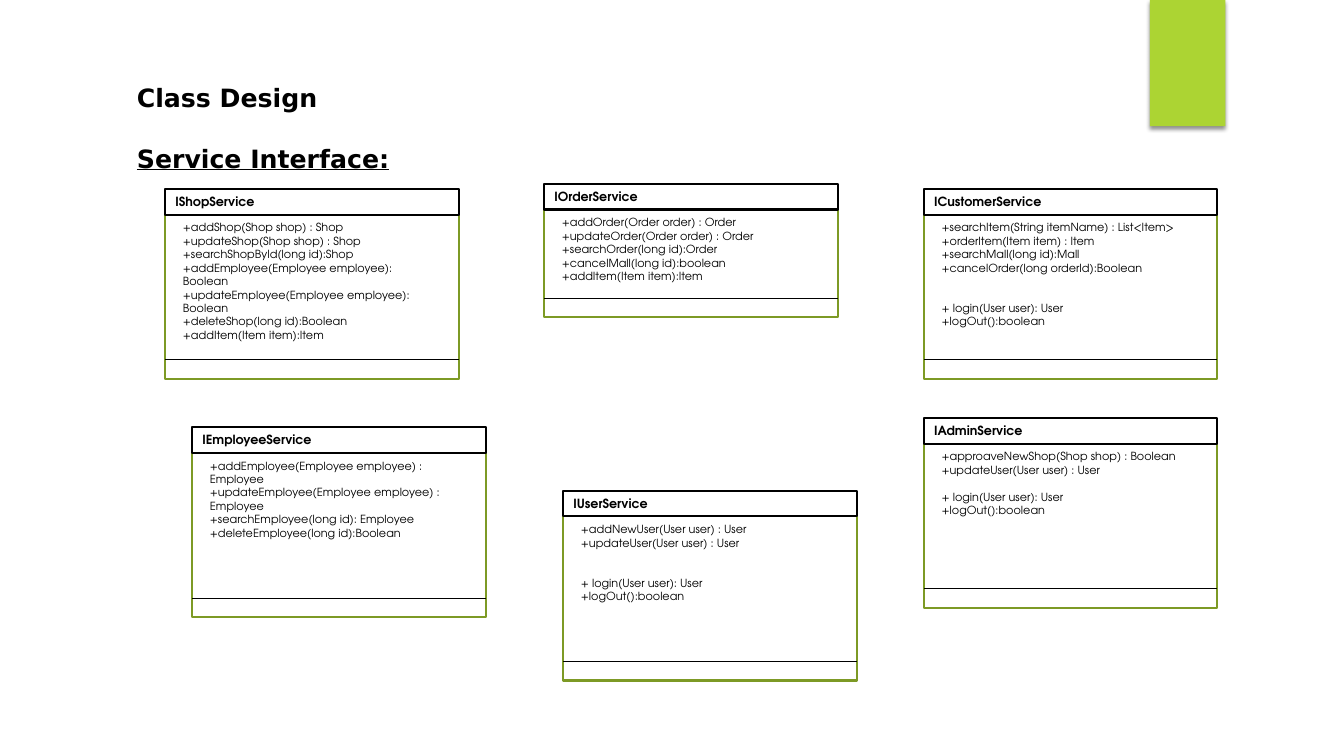
from lxml import etree
from pptx import Presentation
from pptx.dml.color import RGBColor
from pptx.enum.shapes import MSO_CONNECTOR, MSO_SHAPE
from pptx.enum.text import MSO_ANCHOR, MSO_AUTO_SIZE, PP_ALIGN
from pptx.oxml.ns import qn
from pptx.util import Cm, Pt

RECT = MSO_SHAPE.RECTANGLE
LINE = MSO_CONNECTOR.STRAIGHT
TOP, MIDDLE = MSO_ANCHOR.TOP, MSO_ANCHOR.MIDDLE
LEFT = PP_ALIGN.LEFT
GROW = MSO_AUTO_SIZE.SHAPE_TO_FIT_TEXT

BLACK = RGBColor(0x00, 0x00, 0x00)
WHITE = RGBColor(0xFF, 0xFF, 0xFF)
LIME = RGBColor(0xAC, 0xD4, 0x33)
OLIVE = RGBColor(0x7D, 0x9A, 0x25)

TITLE = {"name": "DejaVu Sans", "size": Pt(18), "bold": True}
NAME = {"name": "TeX Gyre Adventor", "size": Pt(9), "bold": True}
METHOD = {"name": "TeX Gyre Adventor", "size": Pt(8), "bold": False}
ROW = 9.6  # points per method line

WIDTH, HEAD, FOOT = 7.39, 0.64, 0.48
LOGIN = ["+ login(User user): User", "+logOut():boolean"]

# name, left, top, height, text height, methods, blank rows, closing methods
CARDS = [
    ("IShopService", 4.17, 4.8, 4.75, 3.68, [
        "+addShop(Shop shop) : Shop",
        "+updateShop(Shop shop) : Shop",
        "+searchShopById(long id):Shop",
        "+addEmployee(Employee employee): Boolean",
        "+updateEmployee(Employee employee): Boolean",
        "+deleteShop(long id):Boolean",
        "+addItem(Item item):Item"], 0, []),
    ("IOrderService", 13.72, 4.67, 3.33, 1.96, [
        "+addOrder(Order order) : Order",
        "+updateOrder(Order order) : Order",
        "+searchOrder(long id):Order",
        "+cancelMall(long id):boolean",
        "+addItem(Item item):Item"], 0, []),
    ("IEmployeeService", 4.85, 10.8, 4.75, 2.64, [
        "+addEmployee(Employee employee) : Employee",
        "+updateEmployee(Employee employee) : Employee",
        "+searchEmployee(long id): Employee",
        "+deleteEmployee(long id):Boolean"], 0, []),
    ("IUserService", 14.2, 12.4, 4.75, 2.64, [
        "+addNewUser(User user) : User",
        "+updateUser(User user) : User"], 2, LOGIN),
    ("ICustomerService", 23.29, 4.8, 4.75, 3.68, [
        "+searchItem(String itemName) : List<Item>",
        "+orderItem(Item item) : Item",
        "+searchMall(long id):Mall",
        "+cancelOrder(long orderId):Boolean"], 2, LOGIN),
    ("IAdminService", 23.29, 10.57, 4.75, 2.31, [
        "+approaveNewShop(Shop shop) : Boolean",
        "+updateUser(User user) : User"], 1, LOGIN),
]


class Board:
    def __init__(self, slide):
        self.shapes = slide.shapes

    def label(self, shape, lines, font, anchor=TOP):
        frame = shape.text_frame
        frame.word_wrap = True
        frame.auto_size = GROW
        frame.vertical_anchor = anchor
        for i, line in enumerate(lines):
            para = frame.paragraphs[0] if i == 0 else frame.add_paragraph()
            para.alignment = LEFT
            run = para.add_run()
            run.text = line
            for key, value in font.items():
                setattr(run.font, key, value)
            run.font.color.rgb = BLACK
        return frame.paragraphs

    def text(self, box, lines, font, anchor=TOP):
        shape = self.shapes.add_textbox(*map(Cm, box))
        return self.label(shape, lines, font, anchor)

    def rect(self, box, fill=None, line=None):
        shape = self.shapes.add_shape(RECT, *map(Cm, box))
        shape.shadow.inherit = False
        if fill is None:
            shape.fill.background()
        else:
            shape.fill.solid()
            shape.fill.fore_color.rgb = fill
        if line is None:
            shape.line.fill.background()
        else:
            shape.line.color.rgb = line
            shape.line.width = Pt(1.5)
        return shape

    def rule(self, left, top, width):
        ends = map(Cm, (left, top, left + width, top))
        line = self.shapes.add_connector(LINE, *ends)
        line.line.color.rgb = BLACK
        line.line.width = Pt(0.75)
        etree.SubElement(line._element.spPr, qn("a:effectLst"))

    def tab(self, box):
        """Draw the lime corner tab with its soft drop shadow."""
        shape = self.rect(box, LIME)
        effects = shape._element.spPr.find(qn("a:effectLst"))
        shadow = etree.SubElement(
            effects, qn("a:outerShdw"), blurRad=str(Pt(3)),
            dist=str(Pt(2)), dir="5400000", rotWithShape="0")
        color = etree.SubElement(shadow, qn("a:srgbClr"), val="000000")
        etree.SubElement(color, qn("a:alpha"), val="44000")

    def card(self, name, left, top, height, depth, methods, blanks, closing):
        """Draw one interface: frame, name bar, method list and foot rule."""
        self.rect((left, top, WIDTH, height), line=OLIVE)
        bar = self.rect((left, top - 0.03, WIDTH, HEAD), WHITE, BLACK)
        self.label(bar, [name], NAME)
        box = (left + 0.19, top + HEAD, 6.93, depth)
        paras = self.text(box, methods + closing, METHOD)
        if closing:
            paras[len(methods)].space_before = Pt(blanks * ROW)
        self.rule(left, top + height - FOOT, WIDTH)


def main():
    deck = Presentation()
    deck.slide_width, deck.slide_height = Cm(33.87), Cm(19.05)
    board = Board(deck.slides.add_slide(deck.slide_layouts[6]))
    board.tab((28.98, 0, 1.9, 3.18))
    board.text((3.2, 1.96, 5.05, 1.02), ["Class Design"], TITLE)
    board.text((3.2, 3.48, 19.38, 1.02), ["Service Interface:"],
               {**TITLE, "underline": True}, MIDDLE)
    for card in CARDS:
        board.card(*card)
    deck.save("out.pptx")


if __name__ == "__main__":
    main()
